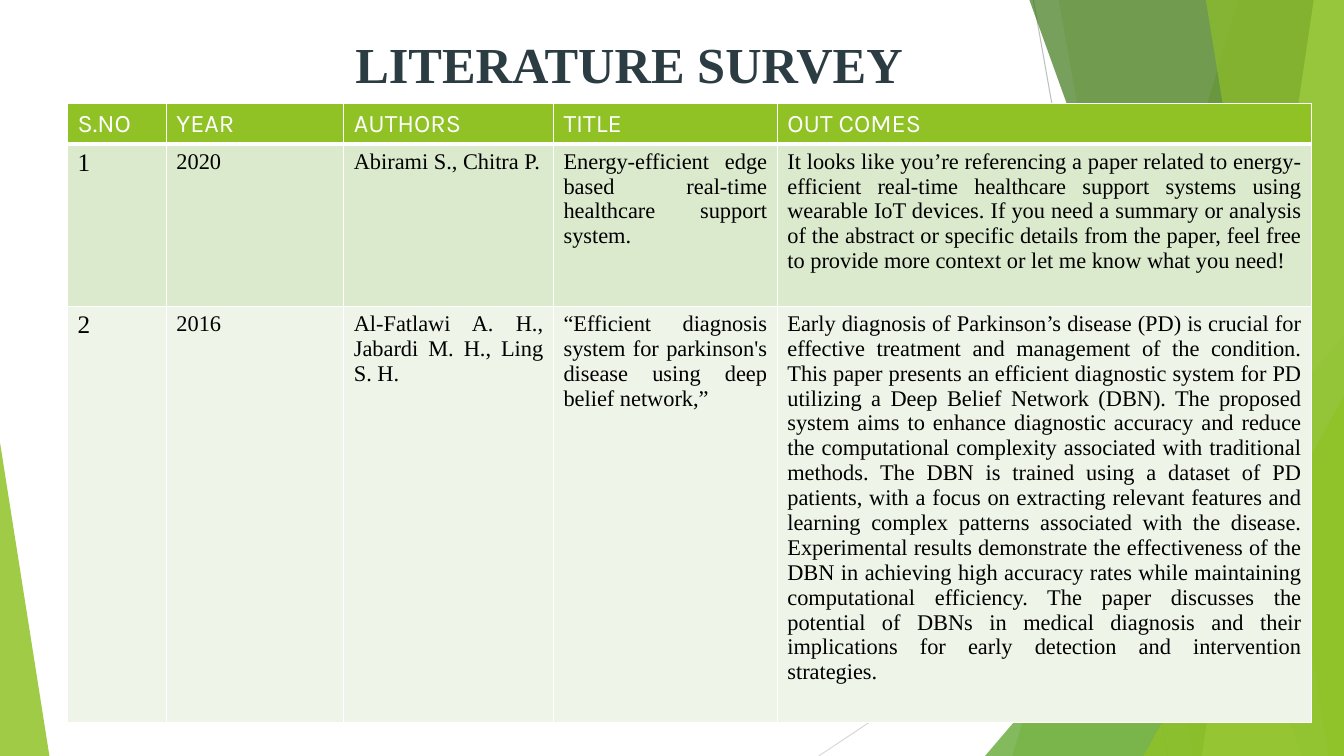
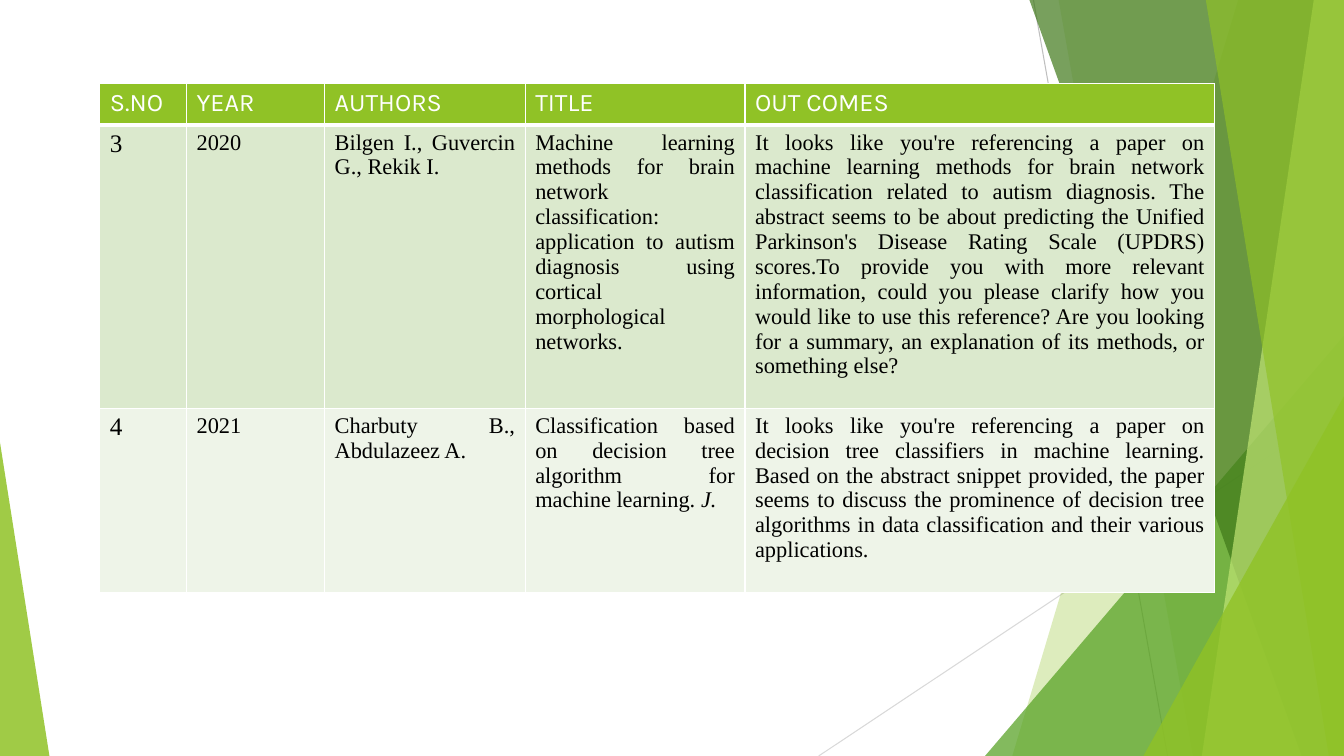
from lxml import etree
from pptx import Presentation
from pptx.dml.color import RGBColor
from pptx.enum.shapes import MSO_CONNECTOR, MSO_SHAPE
from pptx.enum.text import MSO_ANCHOR, PP_ALIGN
from pptx.oxml.ns import qn
from pptx.util import Inches, Pt

WIDTH, HEIGHT = 13.33, 7.5
SERIF, SANS = "Times New Roman", "Karla"
COLORS = {
    "lime": "90C226", "green": "54A021", "forest": "3F7819", "pale": "C0E474",
    "line_dark": "BFBFBF", "line_light": "D9D9D9", "title": "2C3C43",
    "white": "FFFFFF", "black": "000000", "odd_row": "DBE9CD", "even_row": "EEF4E8",
}
HEADINGS = ["S.NO", "YEAR", "AUTHORS", "TITLE", "OUT COMES"]

# A cell given as a tuple holds plain text followed by italic text.
SURVEY_START = [
    ["1", "2020", "Abirami S., Chitra P.",
     "Energy-efficient edge based real-time healthcare support system.",
     "It looks like you’re referencing a paper related to energy-efficient real-time "
     "healthcare support systems using wearable IoT devices. If you need a summary or "
     "analysis of the abstract or specific details from the paper, feel free to provide "
     "more context or let me know what you need!"],
    ["2", "2016", "Al-Fatlawi A. H., Jabardi M. H., Ling S. H.",
     "“Efficient diagnosis system for parkinson's disease using deep belief network,”",
     "Early diagnosis of Parkinson’s disease (PD) is crucial for effective treatment and "
     "management of the condition. This paper presents an efficient diagnostic system for "
     "PD utilizing a Deep Belief Network (DBN). The proposed system aims to enhance "
     "diagnostic accuracy and reduce the computational complexity associated with "
     "traditional methods. The DBN is trained using a dataset of PD patients, with a focus "
     "on extracting relevant features and learning complex patterns associated with the "
     "disease. Experimental results demonstrate the effectiveness of the DBN in achieving "
     "high accuracy rates while maintaining computational efficiency. The paper discusses "
     "the potential of DBNs in medical diagnosis and their implications for early "
     "detection and intervention strategies."],
]
SURVEY_END = [
    ["3", "2020", "Bilgen I., Guvercin G., Rekik I.",
     "Machine learning methods for brain network classification: application to autism "
     "diagnosis using cortical morphological networks.",
     "It looks like you're referencing a paper on machine learning methods for brain "
     "network classification related to autism diagnosis. The abstract seems to be about "
     "predicting the Unified Parkinson's Disease Rating Scale (UPDRS) scores.To provide "
     "you with more relevant information, could you please clarify how you would like to "
     "use this reference? Are you looking for a summary, an explanation of its methods, "
     "or something else?"],
    ["4", "2021", "Charbuty B., Abdulazeez A.",
     ("Classification based on decision tree algorithm for machine learning. ", "J."),
     "It looks like you're referencing a paper on decision tree classifiers in machine "
     "learning. Based on the abstract snippet provided, the paper seems to discuss the "
     "prominence of decision tree algorithms in data classification and their various "
     "applications."],
]


def rgb(name):
    return RGBColor.from_string(COLORS[name])


def style_font(font, face, size, color, bold=False):
    font.name, font.size, font.bold = face, Pt(size), bold
    font.color.rgb = rgb(color)


def paint(shape, color, opacity):
    """Fill a shape with a see-through colour, without line or shadow."""
    shape.shadow.inherit = False
    shape.line.fill.background()
    shape.fill.solid()
    shape.fill.fore_color.rgb = rgb(color)
    tint = shape.element.spPr.find(qn("a:solidFill"))[0]
    etree.SubElement(tint, qn("a:alpha")).set("val", str(opacity * 1000))


def add_thin_line(page, start, end, color):
    line = page.shapes.add_connector(MSO_CONNECTOR.STRAIGHT, *map(Inches, start + end))
    line.line.color.rgb = rgb(color)
    line.line.width = Pt(0.75)
    etree.SubElement(line.element.spPr, qn("a:effectLst"))


def add_side_panel(page, top_x, bottom_x, color, opacity):
    """Panel from a slanted left edge to the right edge of the slide."""
    outline = page.shapes.build_freeform(Inches(top_x), 0)
    corners = [(WIDTH, 0), (WIDTH, HEIGHT), (bottom_x, HEIGHT)]
    outline.add_line_segments([(Inches(x), Inches(y)) for x, y in corners])
    paint(outline.convert_to_shape(), color, opacity)


def add_corner_triangle(page, left, top, width, apex, color, opacity):
    """Triangle standing on the bottom edge of the slide."""
    triangle = page.shapes.add_shape(
        MSO_SHAPE.ISOSCELES_TRIANGLE, *map(Inches, (left, top, width, HEIGHT - top)))
    triangle.adjustments[0] = apex
    paint(triangle, color, opacity)


def add_facets(page):
    add_thin_line(page, (10.25, 0), (11.58, HEIGHT), "line_dark")
    add_thin_line(page, (WIDTH, 4.03), (8.12, HEIGHT), "line_light")
    add_side_panel(page, 12.28, 10.04, "lime", 30)
    add_side_panel(page, 10.5, 11.83, "lime", 20)
    add_corner_triangle(page, 9.77, 3.33, 3.56, 1, "green", 72)
    add_side_panel(page, 10.21, 12.91, "forest", 70)
    add_side_panel(page, 13.03, 11.92, "pale", 70)
    add_side_panel(page, 11.96, 13.18, "lime", 65)
    add_corner_triangle(page, 11.34, 3.93, 1.99, 1, "lime", 80)
    add_corner_triangle(page, 0, 4.39, 0.49, 0, "lime", 85)


def move_to_master(deck, page):
    """Move the shapes of a page to the slide master, shared by all slides."""
    tree = deck.slide_master.element.cSld.spTree
    for number, shape in enumerate(list(page.shapes)):
        shape.element.xpath(".//p:cNvPr")[0].set("id", str(100 + number))
        tree.insert(2 + number, shape.element)


def add_title(page, text, left, top, width, height):
    title = page.shapes.title
    title.left, title.top, title.width, title.height = map(
        Inches, (left, top, width, height))
    title.text_frame.text = text
    title.text_frame.vertical_anchor = MSO_ANCHOR.MIDDLE
    para = title.text_frame.paragraphs[0]
    para.alignment = PP_ALIGN.CENTER
    style_font(para.runs[0].font, SERIF, 36, "title", bold=True)


def add_borders(cell, bottom):
    """White cell borders; they must be set before the fill."""
    properties = cell._tc.get_or_add_tcPr()
    for side, points in (("L", 1), ("R", 1), ("T", 1), ("B", bottom)):
        border = etree.SubElement(properties, qn(f"a:ln{side}"), w=str(Pt(points)))
        fill = etree.SubElement(border, qn("a:solidFill"))
        etree.SubElement(fill, qn("a:srgbClr"), val=COLORS["white"])


def fill_cell(cell, content, row, column):
    is_heading = row == 0
    add_borders(cell, 3 if is_heading else 1)
    cell.fill.solid()
    row_color = "odd_row" if row % 2 else "even_row"
    cell.fill.fore_color.rgb = rgb("lime" if is_heading else row_color)
    plain, italic = content if isinstance(content, tuple) else (content, "")
    para = cell.text_frame.paragraphs[0]
    para.text = plain
    if italic:
        span = para.add_run()
        span.text = italic
        span.font.italic = True
    if not is_heading:
        para.alignment = PP_ALIGN.JUSTIFY
    for span in para.runs:
        if is_heading:
            style_font(span.font, SANS, 18, "white")
        else:
            style_font(span.font, SERIF, 16 if column else 18, "black")


def add_survey_table(page, left, top, widths, heights, entries):
    rows = [HEADINGS] + entries
    table = page.shapes.add_table(
        len(rows), len(HEADINGS),
        *map(Inches, (left, top, sum(widths), sum(heights)))).table
    for column, width in zip(table.columns, widths):
        column.width = Inches(width)
    for row, height in zip(table.rows, heights):
        row.height = Inches(height)
    for row, entry in enumerate(rows):
        for column, content in enumerate(entry):
            fill_cell(table.cell(row, column), content, row, column)


def main():
    deck = Presentation()
    deck.slide_width, deck.slide_height = Inches(WIDTH), Inches(HEIGHT)
    title_only, blank = deck.slide_layouts[5], deck.slide_layouts[6]

    first = deck.slides.add_slide(title_only)
    second = deck.slides.add_slide(blank)
    add_facets(second)
    move_to_master(deck, second)

    add_survey_table(first, 0.67, 1.03, [0.98, 1.76, 2.08, 2.22, 5.3],
                     [0.4, 1.61, 4.13], SURVEY_START)
    add_title(first, "LITERATURE SURVEY", 2.73, 0.17, 7.02, 0.92)
    add_survey_table(second, 0.99, 0.83, [0.86, 1.37, 1.99, 2.18, 4.66],
                     [0.41, 2.81, 1.83], SURVEY_END)
    deck.save("out.pptx")


if __name__ == "__main__":
    main()
